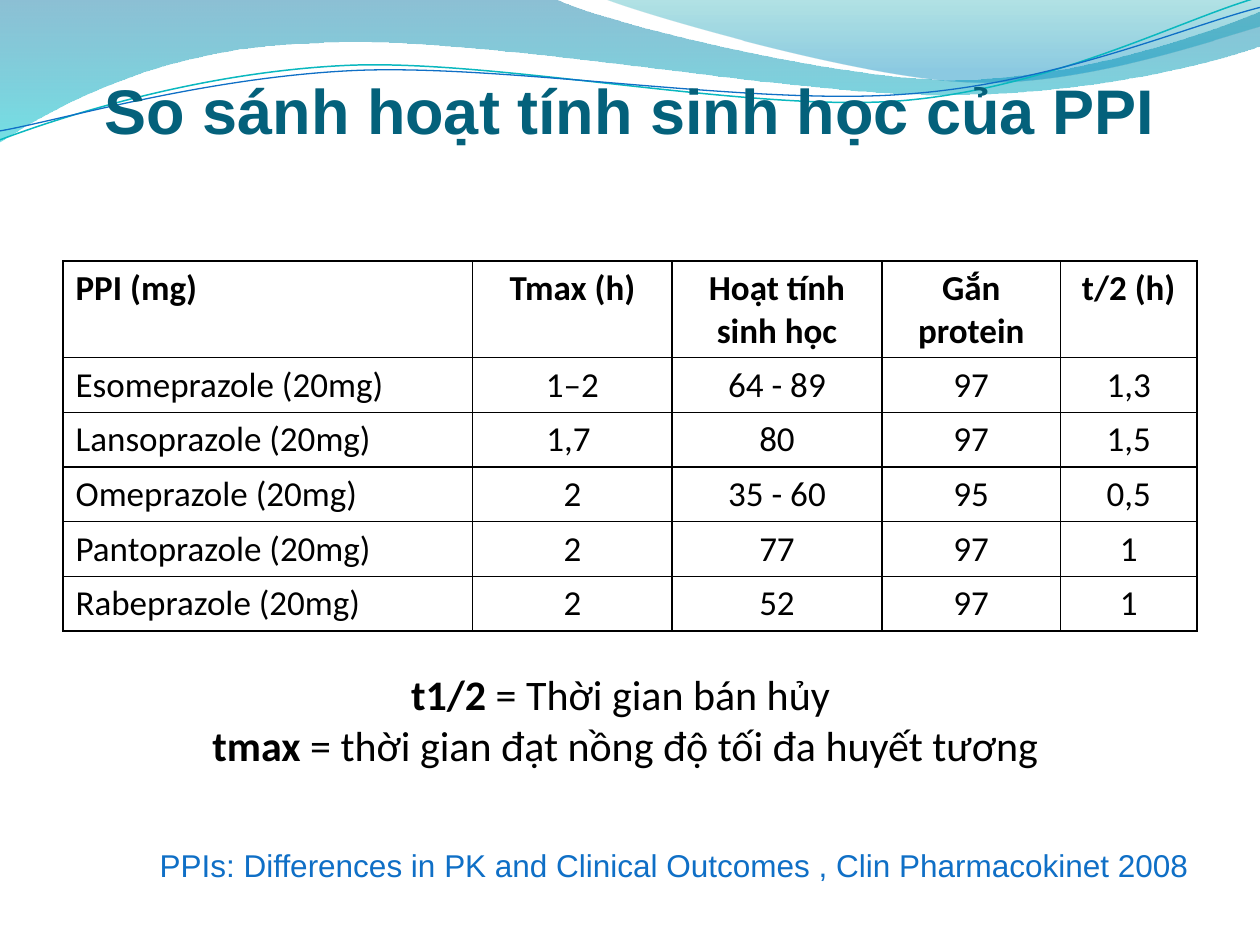
"""Build a slide comparing the biological activity of PPI drugs."""
import pptx
import pptx.dml.color
import pptx.enum.text
import pptx.oxml
import pptx.oxml.ns
import pptx.util
from pptx.util import Cm

RGBColor = pptx.dml.color.RGBColor
ALIGN = pptx.enum.text.PP_ALIGN
ANCHOR = pptx.enum.text.MSO_ANCHOR
FIT = pptx.enum.text.MSO_AUTO_SIZE
NAMESPACE = pptx.oxml.ns.nsdecls("a")
BLACK = RGBColor(0x00, 0x00, 0x00)
TITLE_TEAL = RGBColor(0x04, 0x61, 0x7B)
BLUE = RGBColor(0x0F, 0x6F, 0xC6)
LINE_TEAL = RGBColor(0x0A, 0xB8, 0xBF)
DEEP_BLUE = RGBColor(0x00, 0x74, 0xA1)
AQUA = RGBColor(0x00, 0xC6, 0xCF)
SEA_GREEN = RGBColor(0x00, 0xA1, 0xA9)
SKY_BLUE = RGBColor(0x00, 0x8B, 0xBF)


def add_text(paragraph, text, size=20, font="Calibri", color=BLACK, bold=False, align=ALIGN.CENTER):
    paragraph.alignment = align
    run = paragraph.add_run()
    run.text = text
    run.font.size = pptx.util.Pt(size)
    run.font.name = font
    run.font.color.rgb = color
    run.font.bold = bold


presentation = pptx.Presentation()
presentation.slide_width = Cm(25.4)
presentation.slide_height = Cm(19.05)
slide = presentation.slides.add_slide(presentation.slide_layouts[6])

waves = [
    {"start": (0, 0),
     "segments": [[(11.18, -0.03)],
                  [(12.09, 0.43), (16.87, 1.6), (19.25, 1.6)],
                  [(21.67, 1.6), (24.33, 0.66), (25.4, 0.23)],
                  [(25.43, 0.91)],
                  [(24.97, 1.12), (22.1, 1.93), (18.95, 1.91)],
                  [(15.8, 1.91), (9.7, 0.71), (6.53, 0.86)],
                  [(3.28, 0.91), (1.17, 2.11), (-0.03, 2.87)],
                  [(0, 0)]],
     "gradient": [(DEEP_BLUE, 45, 0), (AQUA, 55, 1)]},
    {"start": (12.17, -0.03),
     "segments": [[(12.93, 0.28), (17.32, 1.57), (19.53, 1.65)],
                  [(21.74, 1.75), (24.41, 0.81), (25.4, 0.53)],
                  [(25.4, 0)],
                  [(12.17, -0.03)]],
     "gradient": [(SEA_GREEN, 30, 0), (SKY_BLUE, 45, 0.8)]},
    {"start": (-0.05, 2.22),
     "segments": [[(1.19, 1.82), (4.02, 1.04), (7.05, 1.05)],
                  [(10.05, 1.07), (15.02, 2.37), (18.08, 2.29)],
                  [(21.13, 2.2), (23.86, 0.91), (25.41, 0.55)]],
     "line": (LINE_TEAL, 0.85)},
    {"start": (-0.04, 2.04),
     "segments": [[(1.16, 1.89), (4.17, 1.15), (7.2, 1.16)],
                  [(10.25, 1.18), (15.13, 2.25), (18.19, 2.16)],
                  [(21.22, 2.1), (23.93, 1.06), (25.45, 0.75)]],
     "line": (BLUE, 0.75)},
]
for wave in waves:
    x, y = wave["start"]
    builder = slide.shapes.build_freeform(Cm(x), Cm(y))
    vertices = [(Cm(x), Cm(y)) for segment in wave["segments"] for x, y in segment]
    builder.add_line_segments(vertices, close="gradient" in wave)
    shape = builder.convert_to_shape()
    shape.shadow.inherit = False

    steps = iter(shape.element.findall(".//" + pptx.oxml.ns.qn("a:lnTo")))
    for segment in wave["segments"]:
        pieces = [next(steps) for point in segment]
        if len(pieces) == 3:
            curve = pptx.oxml.parse_xml(f"<a:cubicBezTo {NAMESPACE}/>")
            pieces[0].addprevious(curve)
            for piece in pieces:
                curve.append(piece[0])
                piece.getparent().remove(piece)

    if "gradient" in wave:
        shape.line.fill.background()
        shape.fill.gradient()
        shape.fill.gradient_angle = 270
        color_elements = shape.element.spPr.findall(".//" + pptx.oxml.ns.qn("a:schemeClr"))
        for stop, (color, opacity, position) in zip(shape.fill.gradient_stops, wave["gradient"]):
            stop.color.rgb = color
            stop.position = position
        color_elements = shape.element.spPr.findall(".//" + pptx.oxml.ns.qn("a:srgbClr"))
        for element, (color, opacity, position) in zip(color_elements, wave["gradient"]):
            element.append(pptx.oxml.parse_xml(f'<a:alpha {NAMESPACE} val="{opacity * 1000}"/>'))
    else:
        shape.rotation = 357.3
        shape.fill.background()
        color, width = wave["line"]
        shape.line.color.rgb = color
        shape.line.width = pptx.util.Pt(width)

title = slide.shapes.add_textbox(Cm(1.27), Cm(0.98), Cm(22.86), Cm(1.98)).text_frame
title.word_wrap = True
title.vertical_anchor = ANCHOR.BOTTOM
title.margin_left = title.margin_right = title.margin_bottom = 0
add_text(title.paragraphs[0], "So sánh hoạt tính sinh học của PPI",
         size=36, font="Arial", color=TITLE_TEAL, bold=True)

rows = [
    ("PPI (mg)", "Tmax (h)", "Hoạt tính sinh học", "Gắn protein", "t/2 (h)"),
    ("Esomeprazole (20mg)", "1–2", "64 - 89", "97", "1,3"),
    ("Lansoprazole (20mg)", "1,7 ", "80", "97", "1,5"),
    ("Omeprazole (20mg)", "2", "35 - 60", "95", "0,5"),
    ("Pantoprazole (20mg)", "2", "77", "97", "1"),
    ("Rabeprazole (20mg)", "2", "52", "97", "1"),
]
column_widths = [8.26, 4.02, 4.23, 3.6, 2.75]
frame = slide.shapes.add_table(len(rows), len(column_widths), Cm(1.27), Cm(5.26),
                               Cm(22.86), Cm(7.44))
table = frame.table
table.first_row = False
table.horz_banding = False
for column, width in zip(table.columns, column_widths):
    column.width = Cm(width)
for row in table.rows:
    row.height = Cm(1.04)
frame.height = Cm(7.44)
for row_index, values in enumerate(rows):
    for column_index, value in enumerate(values):
        cell = table.cell(row_index, column_index)
        add_text(cell.text_frame.paragraphs[0], value, bold=row_index == 0,
                 align=ALIGN.CENTER if column_index else ALIGN.LEFT)
        properties = cell._tc.get_or_add_tcPr()
        for side in ("lnL", "lnR", "lnT", "lnB"):
            properties.append(pptx.oxml.parse_xml(
                f'<a:{side} {NAMESPACE} w="12700"><a:solidFill>'
                f'<a:srgbClr val="{BLACK}"/></a:solidFill></a:{side}>'))
        cell.fill.background()

legend = slide.shapes.add_textbox(Cm(3), Cm(13.36), Cm(19.02), Cm(2.31)).text_frame
legend.word_wrap = False
legend.auto_size = FIT.SHAPE_TO_FIT_TEXT
half_life = legend.paragraphs[0]
add_text(half_life, "t1/2 ", size=24, bold=True)
add_text(half_life, "= Thời gian bán hủy", size=24)
peak_time = legend.add_paragraph()
add_text(peak_time, " ", size=24)
add_text(peak_time, "tmax ", size=24, bold=True)
add_text(peak_time, "= thời gian đạt nồng độ tối đa huyết tương", size=24)

citation = slide.shapes.add_textbox(Cm(2.97), Cm(16.94), Cm(21.39), Cm(1.02)).text_frame
citation.word_wrap = True
citation.auto_size = FIT.SHAPE_TO_FIT_TEXT
add_text(citation.paragraphs[0],
         "PPIs: Differences in PK and Clinical Outcomes , Clin Pharmacokinet 2008",
         size=18, font="Arial", color=BLUE, align=ALIGN.LEFT)

presentation.save("out.pptx")
